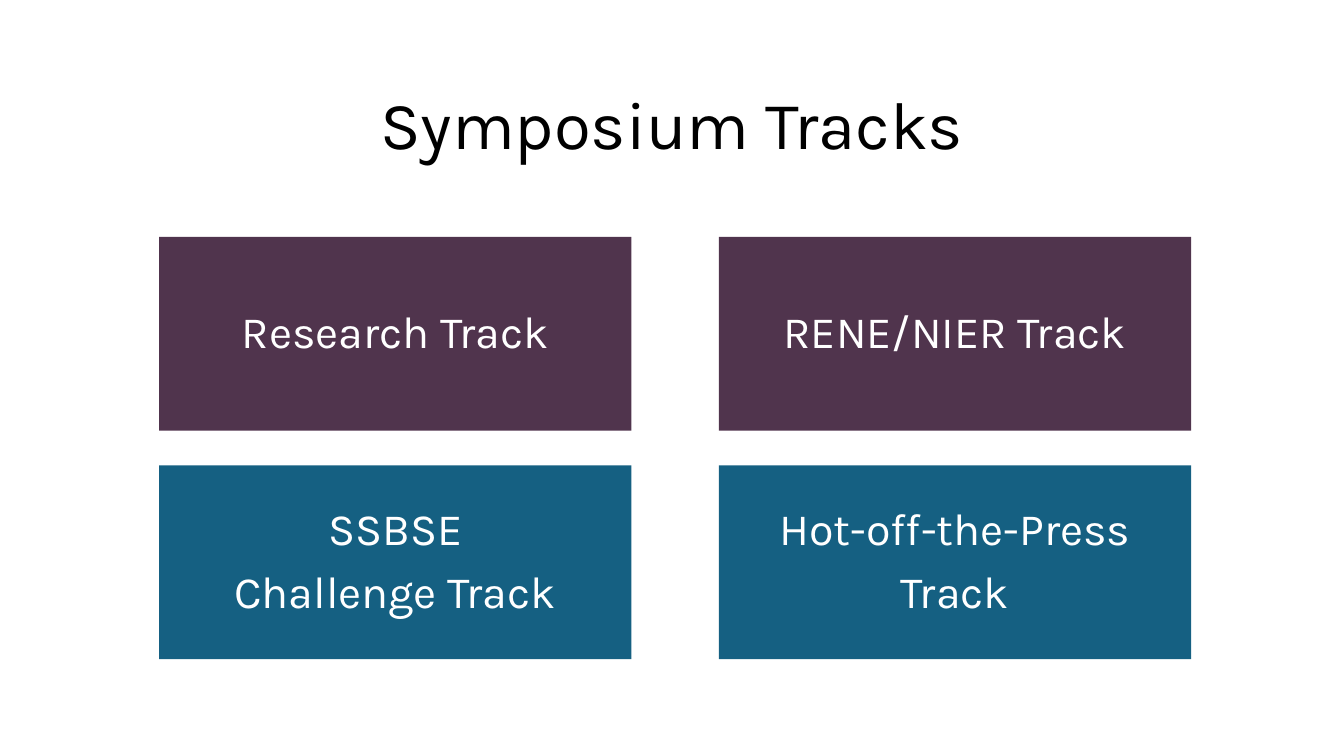
from pptx import Presentation
from pptx.dml.color import RGBColor
from pptx.enum.shapes import MSO_SHAPE as Shape
from pptx.enum.text import MSO_ANCHOR as Anchor, PP_ALIGN as Align
from pptx.util import Cm, Pt

FONT = "Karla"
PLUM, TEAL = "50344D", "156082"
TRACK_ROWS = [
    (PLUM, [["Research Track"], ["RENE/NIER Track"]]),
    (TEAL, [["SSBSE", "Challenge Track"], ["Hot-off-the-Press", "Track"]]),
]


def color(value):
    return RGBColor.from_string(value)


def write_lines(frame, lines, size, text_color, space_before=0):
    frame.word_wrap = True
    frame.vertical_anchor = Anchor.MIDDLE
    for index, line in enumerate(lines):
        paragraph = frame.add_paragraph() if index else frame.paragraphs[0]
        paragraph.text = line
        paragraph.alignment = Align.CENTER
        paragraph.line_spacing = 0.9
        paragraph.space_before = Pt(space_before if index else 0)
        paragraph.font.name = FONT
        paragraph.font.size = Pt(size)
        paragraph.font.color.rgb = color(text_color)


def place_title(slide, left, top, width, height):
    title = slide.shapes.title
    title.left, title.top, title.width, title.height = left, top, width, height
    write_lines(title.text_frame, ["Symposium Tracks"], 48, "000000")


def add_track(slide, lines, fill, left, top, width, height):
    shape = slide.shapes.add_shape(Shape.RECTANGLE, left, top, width, height)
    shape.shadow.inherit = False
    shape.fill.solid()
    shape.fill.fore_color.rgb = color(fill)
    shape.line.fill.background()
    write_lines(shape.text_frame, lines, 32, "FFFFFF", space_before=10)


def add_track_grid(slide, left, top, width, height):
    column_gap, row_gap = Cm(2.2), Cm(0.88)
    card_width = (width - column_gap) // 2
    card_height = (height - row_gap) // 2
    for row, (fill, tracks) in enumerate(TRACK_ROWS):
        for column, lines in enumerate(tracks):
            add_track(slide, lines, fill,
                      left + column * (card_width + column_gap),
                      top + row * (card_height + row_gap),
                      card_width, card_height)


def main():
    presentation = Presentation()
    presentation.slide_width = Cm(33.87)
    presentation.slide_height = Cm(19.05)
    slide = presentation.slides.add_slide(presentation.slide_layouts[5])
    place_title(slide, Cm(2.33), Cm(1.35), Cm(29.21), Cm(3.75))
    add_track_grid(slide, Cm(4.01), Cm(5.97), Cm(26.01), Cm(10.64))
    presentation.save("out.pptx")


if __name__ == "__main__":
    main()
